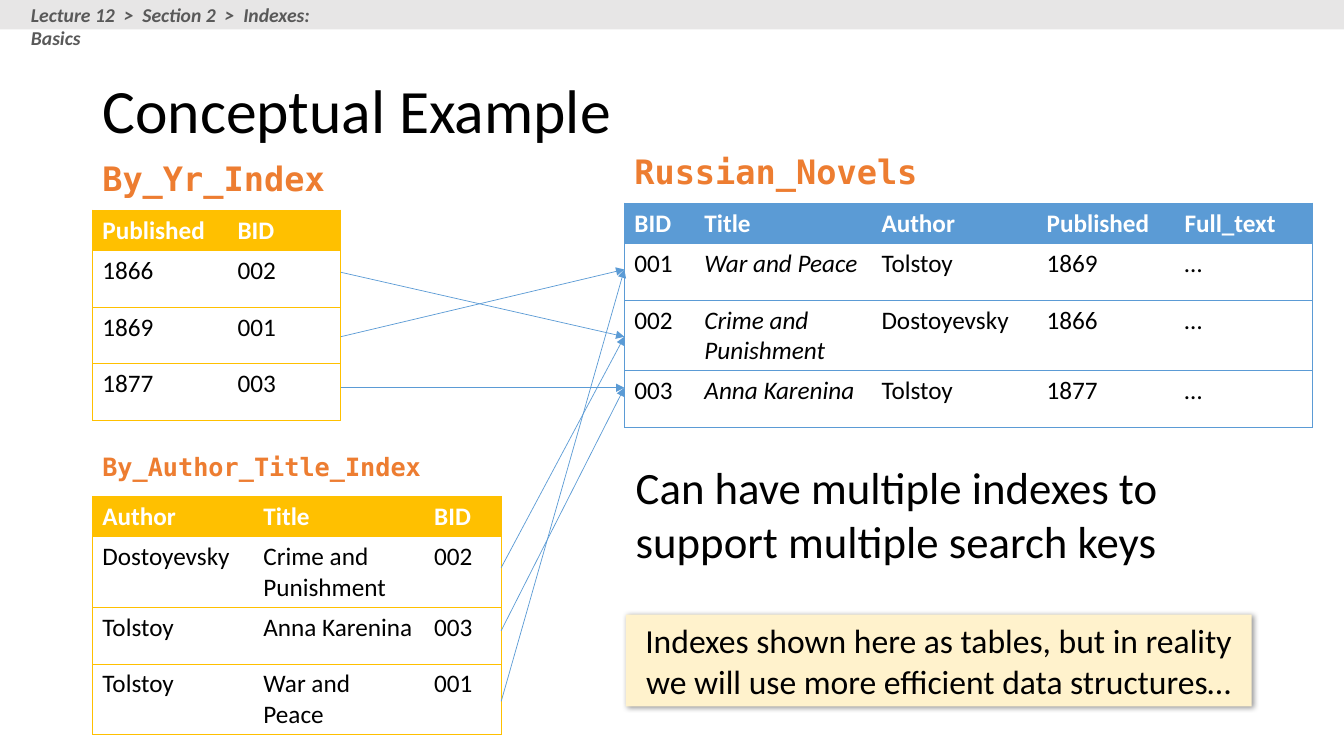
from lxml import etree
from pptx import Presentation
from pptx.dml.color import RGBColor
from pptx.enum import shapes, text
from pptx.oxml import ns
from pptx.util import Pt

HUES = {
    "black": "000000", "white": "FFFFFF", "gray": "595959", "bar": "E7E6E6",
    "blue": "5B9BD5", "gold": "FFC000", "cream": "FFF2CC", "label": "ED7D31",
}
SANS, MONO = "Calibri", "DejaVu Sans Mono"
LEFT, RIGHT = 66, 446  # left edges of the two halves


def rgb(hue):
    return RGBColor.from_string(HUES[hue])


def sub(node, tag, **attrs):
    return etree.SubElement(node, ns.qn(tag), attrs)


def add_run(par, words, size, hue="black", face=SANS, bold=False, ital=False):
    run = par.add_run()
    run.text = words
    font = run.font
    font.size, font.name, font.bold, font.italic = Pt(size), face, bold, ital
    font.color.rgb = rgb(hue)


def add_text(slide, box, words, size, **style):
    frame = slide.shapes.add_textbox(*map(Pt, box)).text_frame
    frame.word_wrap = True
    add_run(frame.paragraphs[0], words, size, **style)


def add_label(slide, box, words, size):
    add_text(slide, box, words, size, hue="label", face=MONO, bold=True)


def add_title(slide, words):
    title = slide.shapes.title
    title.left, title.top, title.width, title.height = map(Pt, (LEFT, 29, 828, 104))
    frame = title.text_frame
    frame.vertical_anchor = text.MSO_ANCHOR.MIDDLE
    par = frame.paragraphs[0]
    par.alignment = text.PP_ALIGN.LEFT
    par.line_spacing = 0.9
    add_run(par, words, 44)


def add_rect(slide, box, hue):
    rect = slide.shapes.add_shape(shapes.MSO_SHAPE.RECTANGLE, *map(Pt, box))
    rect.shadow.inherit = False
    rect.fill.solid()
    rect.fill.fore_color.rgb = rgb(hue)
    rect.line.fill.background()
    return rect


def add_note(slide, box, words):
    """Add a filled box with centred text and a soft shadow."""
    rect = add_rect(slide, box, "cream")
    frame = rect.text_frame
    frame.word_wrap = True
    par = frame.paragraphs[0]
    par.alignment = text.PP_ALIGN.CENTER
    add_run(par, words, 24)
    effects = rect._element.spPr.find(ns.qn("a:effectLst"))
    shade = sub(effects, "a:outerShdw", blurRad=str(Pt(4)), dist=str(Pt(1)),
                dir="2700000", algn="tl", rotWithShape="0")
    color = sub(shade, "a:srgbClr", val=HUES["black"])
    sub(color, "a:alpha", val="40000")


def set_edges(cell, hue, first, last):
    """Rule the cell above and below, and at the table's outer sides."""
    props = cell._tc.get_or_add_tcPr()
    sides = {"a:lnL": first, "a:lnR": last, "a:lnT": True, "a:lnB": True}
    for place, (tag, drawn) in enumerate(sides.items()):
        edge = etree.Element(ns.qn(tag), w=str(Pt(0.5)))
        if drawn:
            sub(sub(edge, "a:solidFill"), "a:srgbClr", val=HUES[hue])
        else:
            sub(edge, "a:noFill")
        props.insert(place, edge)


def add_grid(slide, left, top, widths, rows, hue, slant=None):
    """Add a table; slant is the column whose body is italic."""
    heights = [24] + [40.5] * (len(rows) - 1)
    grid = slide.shapes.add_table(len(rows), len(widths), Pt(left), Pt(top),
                                  Pt(sum(widths)), Pt(sum(heights))).table
    grid.horz_banding = False
    for col, width in zip(grid.columns, widths):
        col.width = Pt(width)
    for r, (row, height) in enumerate(zip(rows, heights)):
        grid.rows[r].height = Pt(height)
        head = r == 0
        for c, words in enumerate(row):
            cell = grid.cell(r, c)
            if head:
                cell.fill.solid()
                cell.fill.fore_color.rgb = rgb(hue)
            else:
                cell.fill.background()
            set_edges(cell, hue, c == 0, c == len(widths) - 1)
            add_run(cell.text_frame.paragraphs[0], words, 18,
                    hue="white" if head else "black", bold=head,
                    ital=not head and c == slant)


def add_arrow(slide, x1, y1, x2, y2):
    arrow = slide.shapes.add_connector(shapes.MSO_CONNECTOR.STRAIGHT,
                                       *map(Pt, (x1, y1, x2, y2)))
    arrow.line.color.rgb = rgb("blue")
    arrow.line.width = Pt(0.5)
    sub(arrow.line._get_or_add_ln(), "a:tailEnd", type="triangle")
    sub(arrow._element.spPr, "a:effectLst")


def main():
    deck = Presentation()
    deck.slide_width, deck.slide_height = Pt(960), Pt(540)
    slide = deck.slides.add_slide(deck.slide_layouts[5])

    add_rect(slide, (0, 0, 960, 21), "bar")
    add_text(slide, (15, -1.5, 248.5, 24.5),
             "Lecture 12  >  Section 2  >  Indexes: Basics", 14,
             hue="gray", bold=True, ital=True)
    add_title(slide, "Conceptual Example")

    add_label(slide, (RIGHT, 104.5, 220, 36), "Russian_Novels", 24)
    add_grid(slide, RIGHT, 145, (50, 126.5, 118, 98.5, 98.5), [
        ("BID", "Title", "Author", "Published", "Full_text"),
        ("001", "War and Peace", "Tolstoy", "1869", "…"),
        ("002", "Crime and Punishment", "Dostoyevsky", "1866", "…"),
        ("003", "Anna Karenina", "Tolstoy", "1877", "…"),
    ], "blue", slant=1)

    add_label(slide, (LEFT, 109.5, 176, 36), "By_Yr_Index", 24)
    add_grid(slide, LEFT, 150, (96.5, 80.5), [
        ("Published", "BID"),
        ("1866", "002"),
        ("1869", "001"),
        ("1877", "003"),
    ], "gold")

    add_label(slide, (LEFT, 319, 245, 29), "By_Author_Title_Index", 18)
    add_grid(slide, LEFT, 354.5, (115, 122, 55), [
        ("Author", "Title", "BID"),
        ("Dostoyevsky", "Crime and Punishment", "002"),
        ("Tolstoy", "Anna Karenina", "003"),
        ("Tolstoy", "War and Peace", "001"),
    ], "gold")

    goals = {"001": 192.5, "002": 240.5, "003": 277}
    links = {
        243.5: ((194.5, "002"), (240.5, "001"), (277, "003")),
        358: ((405.5, "002"), (450.5, "003"), (501, "001")),
    }
    for x, starts in links.items():
        for y, book in starts:
            add_arrow(slide, x, y, RIGHT, goals[book])

    add_text(slide, (447, 325, 490, 85),
             "Can have multiple indexes to support multiple search keys", 32)
    add_note(slide, (447, 439, 447, 65.5),
             "Indexes shown here as tables, but in reality we will use "
             "more efficient data structures…")
    deck.save("out.pptx")


if __name__ == "__main__":
    main()
